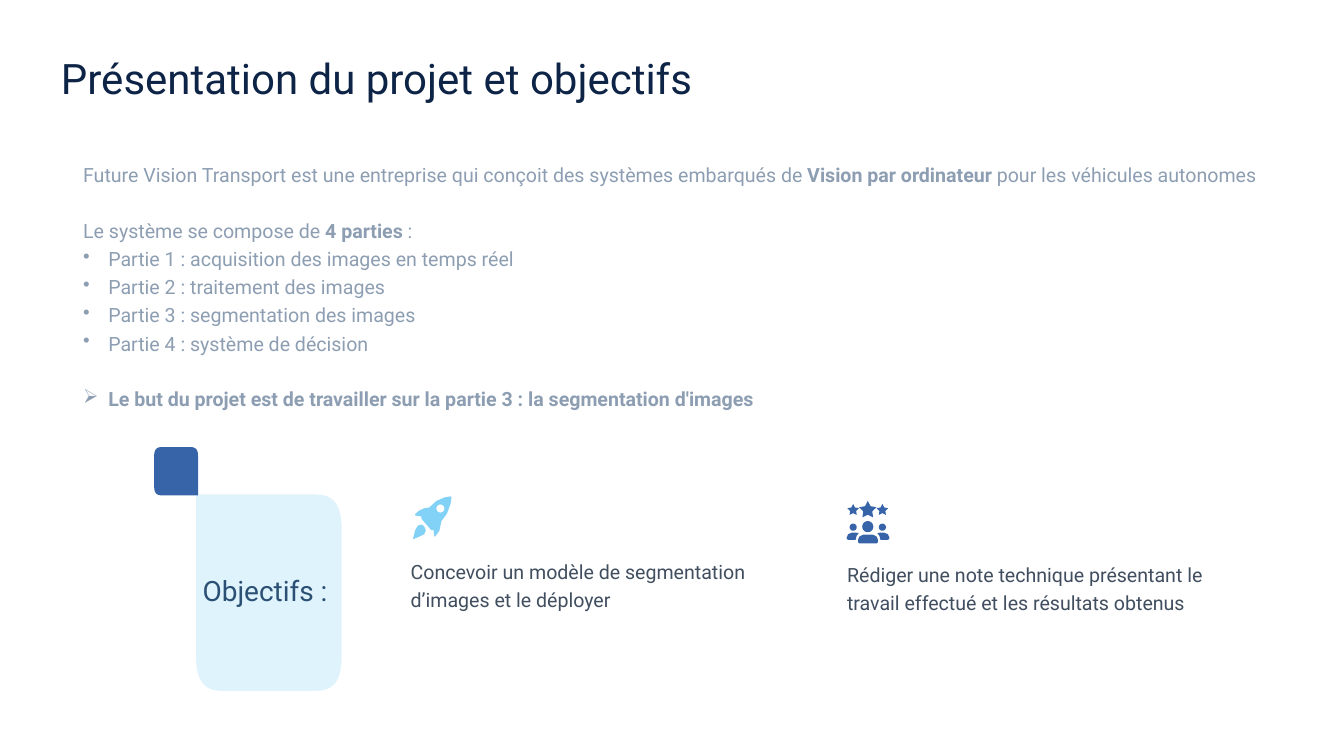
import math

import lxml.etree
import pptx
import pptx.dml.color
import pptx.enum.text
import pptx.oxml.ns
import pptx.util

PX = 9144  # EMU per px, 100 px to the inch
FONT = "Roboto"
NAVY, GREY, SLATE, BLUE, SKY = "0D2447", "8D9EB2", "404E5F", "3764A9", "82D1F6"
BODY_SIZE = 28
BLANK_LINE = 39
INDENT = 50

INTRO = [
    ("Future Vision Transport est une entreprise qui conçoit des systèmes embarqués de ", False),
    ("Vision par ordinateur ", True),
    ("pour les véhicules autonomes", False),
]
SYSTEM = [("Le système se compose de ", False), ("4 parties ", True), (":", False)]
PARTS = [
    "Partie 1 : acquisition des images en temps réel",
    "Partie 2 : traitement des images",
    "Partie 3 : segmentation des images",
    "Partie 4 : système de décision",
]
GOAL = "Le but du projet est de travailler sur la partie 3 : la segmentation d'images"


def px(length):
    return pptx.util.Emu(round(length * PX))


def colour(hex_code):
    return pptx.dml.color.RGBColor.from_string(hex_code)


def style(paragraph, size, hex_code, spacing=1.2):
    paragraph.font.name = FONT
    paragraph.font.size = pptx.util.Pt(size)
    paragraph.font.color.rgb = colour(hex_code)
    paragraph.line_spacing = spacing


def text_frame(slide, box, inset=6):
    frame = slide.shapes.add_textbox(*map(px, box)).text_frame
    frame.word_wrap = True
    frame.margin_left = frame.margin_right = px(inset)
    frame.margin_top = frame.margin_bottom = px(inset)
    return frame


def add_bullet(paragraph, mark):
    properties = paragraph._p.get_or_add_pPr()
    properties.set("marL", str(px(INDENT)))
    properties.set("indent", str(-px(INDENT)))
    bullet = lxml.etree.SubElement(properties, pptx.oxml.ns.qn("a:buChar"))
    bullet.set("char", mark)


def draw_outline(slide, left, top, contours, hex_code, opacity=100):
    """Fill closed contours, whose points are in px from left and top."""
    placed = [[(px(left + x), px(top + y)) for x, y in contour] for contour in contours]
    builder = slide.shapes.build_freeform(*placed[0][0], scale=1.0)
    builder.add_line_segments(placed[0][1:], close=True)
    for contour in placed[1:]:
        builder.move_to(*contour[0])
        builder.add_line_segments(contour[1:], close=True)
    shape = builder.convert_to_shape()
    shape.shadow.inherit = False
    shape.fill.solid()
    shape.fill.fore_color.rgb = colour(hex_code)
    shape.line.fill.background()
    if opacity < 100:
        fill = shape._element.spPr.find(".//" + pptx.oxml.ns.qn("a:srgbClr"))
        alpha = lxml.etree.SubElement(fill, pptx.oxml.ns.qn("a:alpha"))
        alpha.set("val", str(opacity * 1000))


def circle(cx, cy, radius, steps=36):
    turns = [2 * math.pi * i / steps for i in range(steps)]
    return [(cx + radius * math.cos(t), cy + radius * math.sin(t)) for t in turns]


def star(cx, cy, radius):
    points = []
    for i in range(10):
        reach = radius if i % 2 == 0 else radius * 0.52
        angle = math.pi * i / 5
        points.append((cx + reach * math.sin(angle), cy - reach * math.cos(angle)))
    return points


def leaf(width, height, rx, ry, sharp, steps=12):
    """Soft-cornered rectangle with one sharp corner (0 top left, then clockwise)."""
    corners = [(rx, ry, -1, -1), (width - rx, ry, 1, -1),
               (width - rx, height - ry, 1, 1), (rx, height - ry, -1, 1)]
    points = []
    for index, (cx, cy, sx, sy) in enumerate(corners):
        if index == sharp:
            points.append((cx + sx * rx, cy + sy * ry))
            continue
        arc = []
        for i in range(steps + 1):
            angle = math.pi / 2 * i / steps
            arc.append((cx + sx * rx * abs(math.cos(angle)) ** (2 / 3),
                        cy + sy * ry * abs(math.sin(angle)) ** (2 / 3)))
        points += arc if index % 2 == 0 else arc[::-1]
    return points


def rocket_icon(slide, left, top):
    hull = [(74, 0), (62, 2), (46, 9), (32, 22), (23, 23), (12, 28), (4, 35), (4, 37),
            (5, 38), (17, 40), (16, 42), (16, 44), (36, 67), (38, 67), (40, 65),
            (42, 79), (43, 80), (44, 79), (52, 68), (56, 49), (67, 34), (74, 15),
            (76, 2), (75, 0)]
    flame = [(15, 56), (19, 57), (22, 60), (25, 67), (22, 75), (14, 79), (2, 84),
             (0, 84), (0, 82), (4, 67), (8, 60), (11, 57)]
    draw_outline(slide, left, top, [hull, circle(54, 24, 8), flame], SKY)


def team_icon(slide, left, top):
    shoulder = [(10, 64), (19, 64), (24, 65), (20, 70), (18, 77), (18, 78), (3, 78),
                (1, 77), (0, 75), (0, 74), (3, 67)]
    bust = [(33, 68), (52, 68), (59, 71), (62, 77), (62, 83), (60, 85), (25, 85),
            (23, 83), (23, 77), (26, 71)]
    contours = [star(42, 19, 18), circle(42, 52, 11), bust]
    for cx in (13, 71):
        contours += [star(cx, 19, 12), circle(cx, 53, 7)]
    contours += [shoulder, [(85 - x, y) for x, y in shoulder]]
    draw_outline(slide, left, top, contours, BLUE)


def title(slide, box):
    heading = text_frame(slide, box).paragraphs[0]
    heading.text = "Présentation du projet et objectifs"
    style(heading, 60, NAVY, 1.0)


def presentation_text(slide, box):
    frame = text_frame(slide, box)
    lines = [(INTRO, None, 0), (SYSTEM, None, BLANK_LINE)]
    lines += [([(part, False)], "•", 0) for part in PARTS]
    lines.append(([(GOAL, True)], "➢", BLANK_LINE))
    for index, (runs, mark, gap) in enumerate(lines):
        paragraph = frame.add_paragraph() if index else frame.paragraphs[0]
        style(paragraph, BODY_SIZE, GREY)
        paragraph.space_before = pptx.util.Pt(gap)
        if mark:
            add_bullet(paragraph, mark)
        for words, bold in runs:
            run = paragraph.add_run()
            run.text = words
            run.font.bold = bold


def objective(slide, box, words, draw_icon, icon_at):
    """Place a sentence in the box, and its icon at an offset from the box."""
    sentence = text_frame(slide, box).paragraphs[0]
    sentence.text = words
    style(sentence, BODY_SIZE, SLATE)
    draw_icon(slide, box[0] + icon_at[0], box[1] + icon_at[1])


def objectives_panel(slide, left, top):
    frame = text_frame(slide, (left + 85, top + 246, 270, 77), 5)
    frame.word_wrap = False
    label = frame.paragraphs[0]
    label.text = "Objectifs :"
    label.alignment = pptx.enum.text.PP_ALIGN.CENTER
    style(label, 40, NAVY, 1.0)
    draw_outline(slide, left + 83, top + 94, [leaf(289, 390, 60, 80, sharp=0)], SKY, 26)
    draw_outline(slide, left, top, [leaf(87, 96, 18, 20, sharp=2)], BLUE)


def main():
    deck = pptx.Presentation()
    deck.slide_width, deck.slide_height = px(2667), px(1500)
    slide = deck.slides.add_slide(deck.slide_layouts[6])
    title(slide, (115, 99, 2448, 112))
    presentation_text(slide, (159, 308, 2450, 625))
    objective(slide, (1675, 1101, 787, 119),
              "Rédiger une note technique présentant le travail effectué et les résultats obtenus",
              team_icon, (5, -108))
    objective(slide, (809, 1096, 717, 124),
              "Concevoir un modèle de segmentation d’images et le déployer",
              rocket_icon, (11, -111))
    objectives_panel(slide, 306, 887)
    deck.save("out.pptx")


if __name__ == "__main__":
    main()
